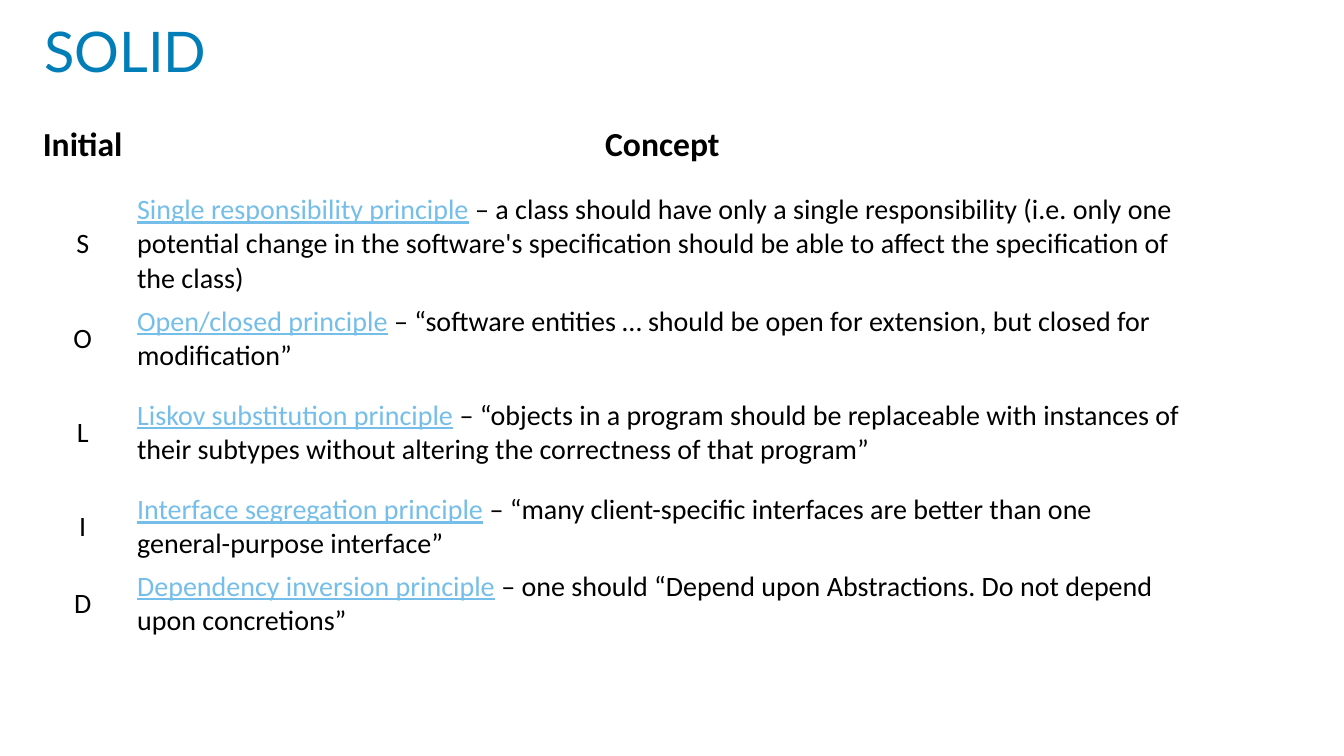
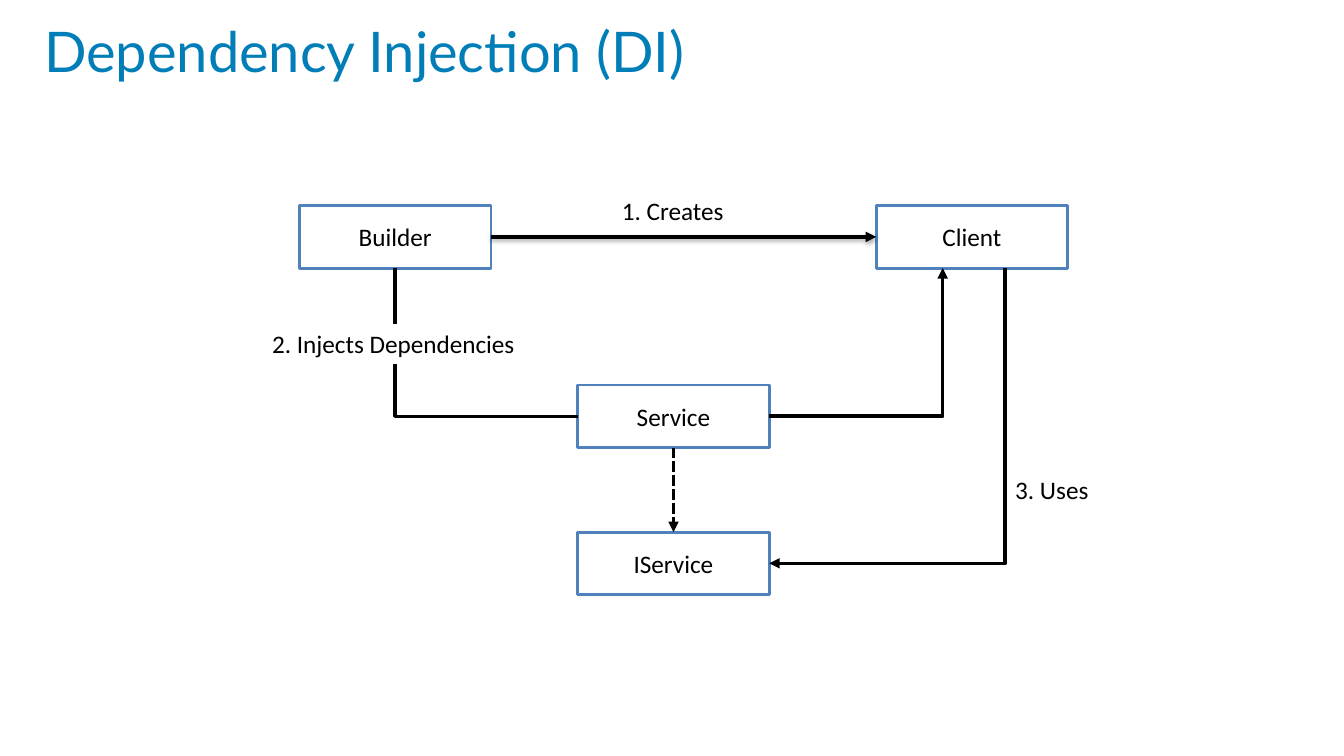
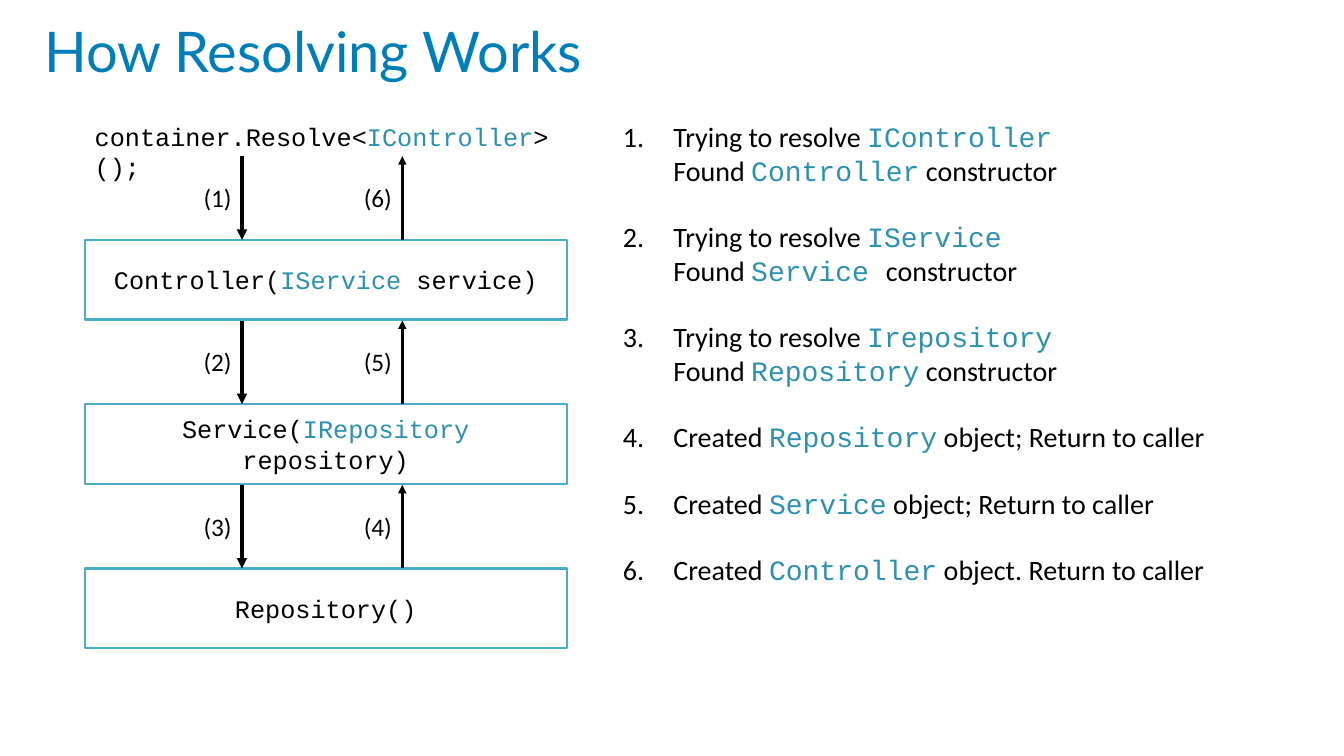
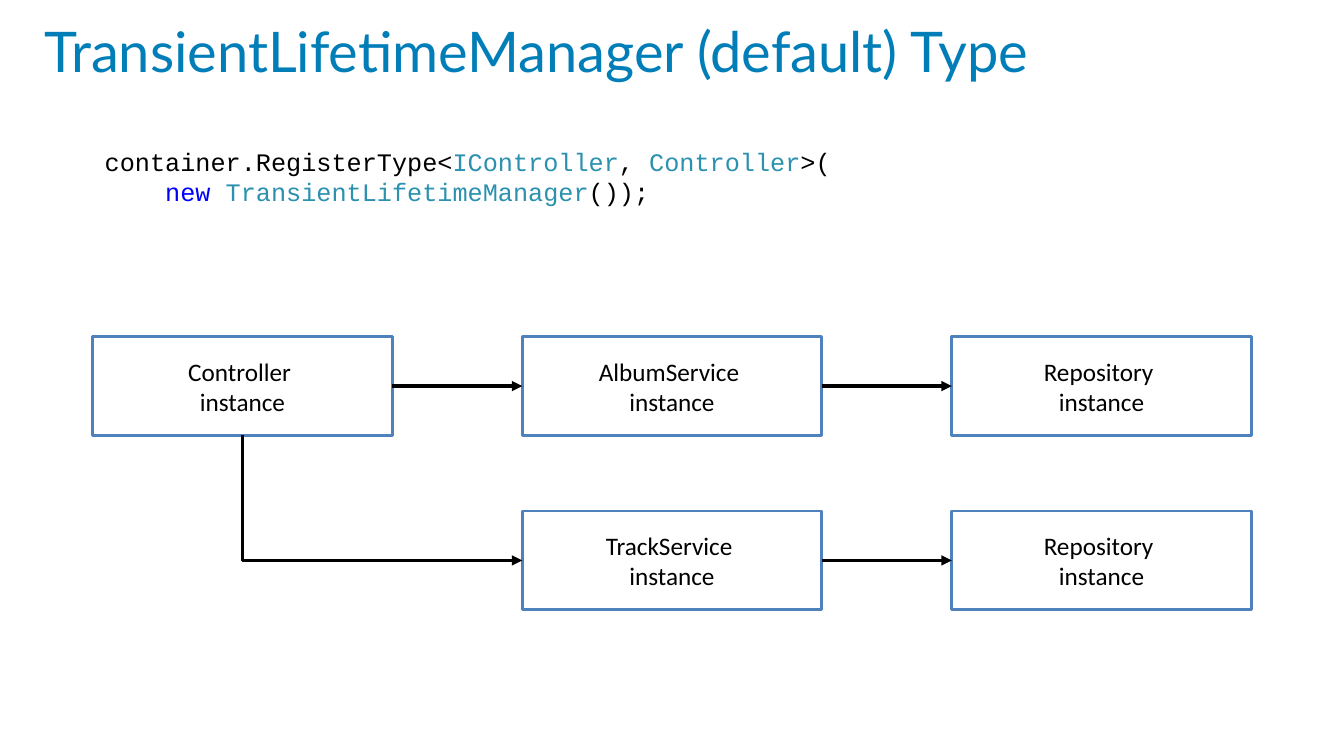
from collections import namedtuple

from lxml import etree
from pptx import Presentation
from pptx import util as u
from pptx.dml import color as dml
from pptx.enum import dml as lines, shapes, text
from pptx.oxml import ns

TITLE = {"name": "Lato", "size": u.Pt(40), "color": "017EB8"}
BODY = {"name": "Calibri", "size": u.Pt(20), "color": "000000"}
HEADER = BODY | {"size": u.Pt(24), "bold": True}
LINK = BODY | {"color": "75BEE9", "underline": True}
LABEL = BODY | {"size": u.Pt(18)}
CODE = LABEL | {"name": "Courier New"}
CODE_TYPE = CODE | {"color": "2B91AF"}
CODE_KEYWORD = CODE | {"color": "0000FF"}
LIST_TYPE = CODE_TYPE | {"size": u.Pt(20)}
BLUE, TEAL = "4F81BD", "4BACC6"
TOP, LEFT, BOTTOM, RIGHT = range(4)
CENTER = text.PP_ALIGN.CENTER
MIDDLE = text.MSO_ANCHOR.MIDDLE

Joint = namedtuple("Joint", "shape side")


class Box(namedtuple("Box", "left top width height")):
    def inside(self, dx, dy, width, height):
        return Box(self.left + dx, self.top + dy, width, height)

    def point(self, dx, dy):
        return self.left + dx, self.top + dy

    def lengths(self):
        return [u.Inches(value) for value in self]


def rgb(value):
    return dml.RGBColor.from_string(value)


def xml_child(parent, tag, **values):
    child = etree.SubElement(parent, ns.qn(tag))
    for key, value in values.items():
        child.set(key, str(value))
    return child


def set_values(target, values):
    for key, value in values.items():
        if key == "color":
            target.color.rgb = rgb(value)
        else:
            setattr(target, key, value)


def write(frame, paras, **layout):
    for index, spans in enumerate(paras):
        para = frame.paragraphs[0] if index == 0 else frame.add_paragraph()
        set_values(para, layout)
        for words, style in spans:
            if words == "\n":
                para.add_line_break()
                continue
            span = para.add_run()
            span.text = words
            set_values(span.font, style)


def add_text(page, box, paras, wrap=True, anchor=text.MSO_ANCHOR.TOP, **layout):
    shape = page.shapes.add_textbox(*box.lengths())
    set_values(shape.text_frame, {"word_wrap": wrap, "vertical_anchor": anchor})
    write(shape.text_frame, paras, **layout)
    return shape


def add_label(page, box, words):
    return add_text(page, box, [[(words, LABEL)]], wrap=False)


def add_rect(page, box, paras, outline=BLUE, weight=2):
    rect = page.shapes.add_shape(shapes.MSO_SHAPE.RECTANGLE, *box.lengths())
    rect.shadow.inherit = False
    rect.fill.solid()
    rect.fill.fore_color.rgb = rgb("FFFFFF")
    set_values(rect.line, {"color": outline, "width": u.Pt(weight)})
    set_values(rect.text_frame, {"word_wrap": True, "vertical_anchor": MIDDLE})
    write(rect.text_frame, paras, alignment=CENTER)
    return rect


def add_link(page, start, end, arrow="a:tailEnd", weight=2.5, bent=False,
             dashed=False, shadow=False):
    kind = shapes.MSO_CONNECTOR.ELBOW if bent else shapes.MSO_CONNECTOR.STRAIGHT
    ends = [(0, 0) if isinstance(end_point, Joint) else end_point
            for end_point in (start, end)]
    link = page.shapes.add_connector(
        kind, *[u.Inches(value) for point in ends for value in point])
    if isinstance(start, Joint):
        link.begin_connect(*start)
    if isinstance(end, Joint):
        link.end_connect(*end)
    set_values(link.line, {"color": "000000", "width": u.Pt(weight)})
    if dashed:
        link.line.dash_style = lines.MSO_LINE.SQUARE_DOT
    properties = link._element.spPr
    if bent:
        properties.find(ns.qn("a:prstGeom")).set("prst", "bentConnector2")
    if arrow:
        xml_child(properties.find(ns.qn("a:ln")), arrow, type="triangle")
    effects = xml_child(properties, "a:effectLst")
    if shadow:
        outer = xml_child(effects, "a:outerShdw", blurRad=u.Pt(3.1),
                          dist=u.Pt(1.8), dir=5400000, rotWithShape=0)
        tint = xml_child(outer, "a:srgbClr", val="000000")
        xml_child(tint, "a:alpha", val=35000)
    return link


def add_page(deck, title):
    page = deck.slides.add_slide(deck.slide_layouts[6])
    add_text(page, Box(0.34, 0, 12, 1), [[(title, TITLE)]], anchor=MIDDLE)
    return page


def fill_cell(cell, spans, **layout):
    cell.fill.background()
    side, edge = u.Inches(0.06), u.Inches(0.03)
    set_values(cell, {"vertical_anchor": MIDDLE, "margin_left": side,
                      "margin_right": side, "margin_top": edge,
                      "margin_bottom": edge})
    write(cell.text_frame, [spans], **layout)


def principles_table(page, box, principles):
    heights = [0.87, 1.11, 0.76, 1.11, 0.76, 0.76]
    table = page.shapes.add_table(len(heights), 2, *box.lengths()).table
    set_values(table, {"first_row": False, "horz_banding": False})
    for row, height in zip(table.rows, heights):
        row.height = u.Inches(height)
    for column, width in zip(table.columns, [0.96, box.width - 0.96]):
        column.width = u.Inches(width)
    for index, heading in enumerate(["Initial", "Concept"]):
        fill_cell(table.cell(0, index), [(heading, HEADER)], alignment=CENTER)
    for index, (name, meaning) in enumerate(principles, 1):
        fill_cell(table.cell(index, 0), [(name[0], BODY)], alignment=CENTER)
        fill_cell(table.cell(index, 1), [(name, LINK), (" – " + meaning, BODY)])


def injection_diagram(page, area):
    places = {"Builder": (0.37, 0.15), "Client": (6.09, 0.15),
              "Service": (3.13, 1.93), "IService": (3.13, 3.39)}
    builder, client, service, contract = [
        add_rect(page, area.inside(*place, 1.9, 0.62), [[(name, LABEL)]])
        for name, place in places.items()]
    add_label(page, area.inside(3.47, 0, 1.22, 0.4), "1. Creates")
    injects = add_label(page, area.inside(0, 1.32, 2.64, 0.4),
                        "2. Injects Dependencies")
    add_label(page, area.inside(7.37, 2.77, 1.32, 0.4), "3. Uses")
    add_link(page, Joint(builder, RIGHT), Joint(client, LEFT), shadow=True)
    add_link(page, Joint(builder, BOTTOM), Joint(injects, TOP), arrow=None)
    add_link(page, Joint(service, LEFT), Joint(injects, BOTTOM), arrow=None,
             bent=True)
    add_link(page, Joint(service, RIGHT), area.point(6.75, 0.77), bent=True)
    add_link(page, Joint(service, BOTTOM), Joint(contract, TOP), dashed=True)
    add_link(page, Joint(contract, RIGHT), area.point(7.37, 0.77),
             arrow="a:headEnd", bent=True)


def resolving_stack(page, area):
    add_text(page, area.inside(0, 0, area.width, 0.4),
             [[("container.Resolve<", CODE), ("IController", CODE_TYPE),
               (">();", CODE)]])
    layers = [
        [("Controller(", CODE), ("IService", CODE_TYPE), (" service)", CODE)],
        [("Service(", CODE), ("IRepository", CODE_TYPE), (" repository)", CODE)],
        [("Repository()", CODE)],
    ]
    for index, spans in enumerate(layers):
        top = 1.23 + 1.63 * index
        add_rect(page, area.inside(0, top, area.width, 0.79), [spans], TEAL, 1.5)
        upper = top - 0.83
        add_link(page, area.point(1.56, upper), area.point(1.56, top))
        add_link(page, area.point(3.15, top), area.point(3.15, upper), weight=2)
        for dx, number in ((1.08, index + 1), (2.67, 6 - index)):
            add_label(page, area.inside(dx, upper + 0.21, 0.48, 0.4),
                      f"({number})")


def resolving_steps(page, box):
    attempts = [("IController", "Controller", " constructor"),
                ("IService", "Service ", "constructor"),
                ("Irepository", "Repository", " constructor")]
    results = [("Repository", " object; Return to caller"),
               ("Service", " object; Return to caller"),
               ("Controller", " object. Return to caller")]
    steps = [[("Trying to resolve ", BODY), (wanted, LIST_TYPE), ("\n", BODY),
              ("Found ", BODY), (found, LIST_TYPE), (ending, BODY)]
             for wanted, found, ending in attempts]
    steps += [[("Created ", BODY), (made, LIST_TYPE), (ending, BODY)]
              for made, ending in results]
    shape = add_text(page, box, steps, space_after=u.Pt(23.4))
    for para in shape.text_frame.paragraphs:
        properties = para._p.get_or_add_pPr()
        properties.set("marL", str(u.Inches(0.5)))
        properties.set("indent", str(u.Inches(-0.5)))
        xml_child(properties, "a:buFont", typeface="+mj-lt")
        xml_child(properties, "a:buAutoNum", type="arabicPeriod")


def registration_code(page, box):
    shape = add_text(page, box, [
        [("container.RegisterType<", CODE), ("IController", CODE_TYPE),
         (", ", CODE), ("Controller", CODE_TYPE), (">(", CODE)],
        [("new", CODE_KEYWORD), (" ", CODE),
         ("TransientLifetimeManager", CODE_TYPE), ("());", CODE)],
    ])
    indented = shape.text_frame.paragraphs[1]._p.get_or_add_pPr()
    indented.set("marL", str(u.Inches(0.6)))


def instance_diagram(page, area):
    def instance(name, column, row):
        place = area.inside(4.26 * column, 1.73 * row, 2.97, 0.98)
        return add_rect(page, place, [[(name + " ", LABEL)], [("instance", LABEL)]])

    controller = instance("Controller", 0, 0)
    services = [instance(name, 1, row)
                for row, name in enumerate(["AlbumService", "TrackService"])]
    for row, service in enumerate(services):
        repository = instance("Repository", 2, row)
        add_link(page, Joint(service, RIGHT), Joint(repository, LEFT))
    album, track = services
    add_link(page, Joint(controller, RIGHT), Joint(album, LEFT))
    add_link(page, Joint(track, LEFT), Joint(controller, BOTTOM),
             arrow="a:headEnd", bent=True)


def main():
    deck = Presentation()
    deck.slide_width, deck.slide_height = u.Inches(13.33), u.Inches(7.5)

    page = add_page(deck, "SOLID")
    principles_table(page, Box(0.34, 1, 11.5, 5.36), [
        ("Single responsibility principle",
         "a class should have only a single responsibility (i.e. only one "
         "potential change in the software's specification should be able to "
         "affect the specification of the class)"),
        ("Open/closed principle",
         "“software entities … should be open for extension, but closed for "
         "modification”"),
        ("Liskov substitution principle",
         "“objects in a program should be replaceable with instances of their "
         "subtypes without altering the correctness of that program”"),
        ("Interface segregation principle",
         "“many client-specific interfaces are better than one "
         "general-purpose interface”"),
        ("Dependency inversion principle",
         "one should “Depend upon Abstractions. Do not depend upon "
         "concretions”"),
    ])

    page = add_page(deck, "Dependency Injection (DI)")
    injection_diagram(page, Box(2.6, 1.89, 8.69, 4.01))

    page = add_page(deck, "How Resolving Works")
    resolving_stack(page, Box(0.84, 1.15, 4.78, 5.28))
    resolving_steps(page, Box(6.08, 1.14, 6.25, 4.81))

    page = add_page(deck, "TransientLifetimeManager (default) Type")
    registration_code(page, Box(0.94, 1.4, 10.9, 0.71))
    instance_diagram(page, Box(0.92, 3.34, 11.49, 2.71))

    deck.save("out.pptx")


if __name__ == "__main__":
    main()
